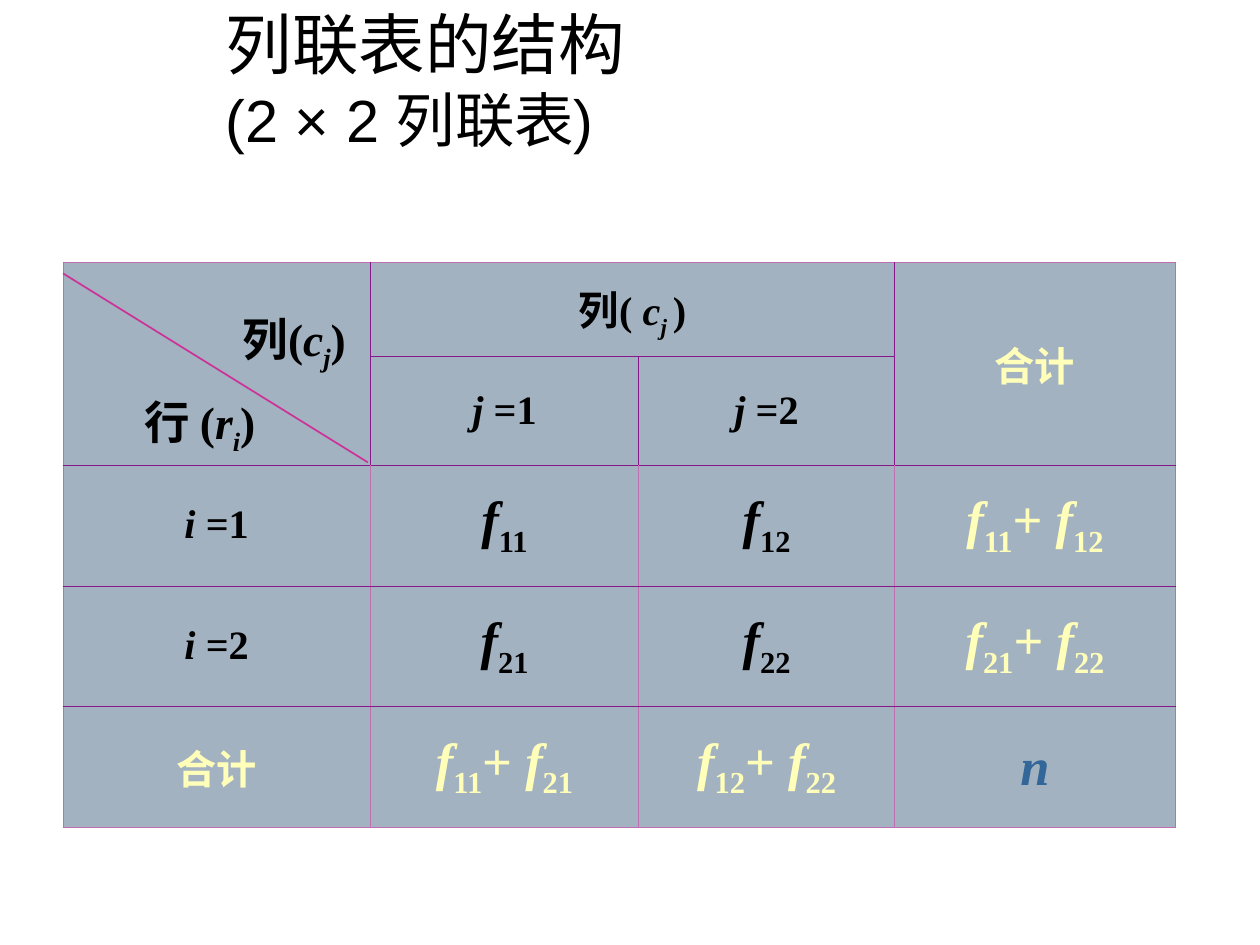
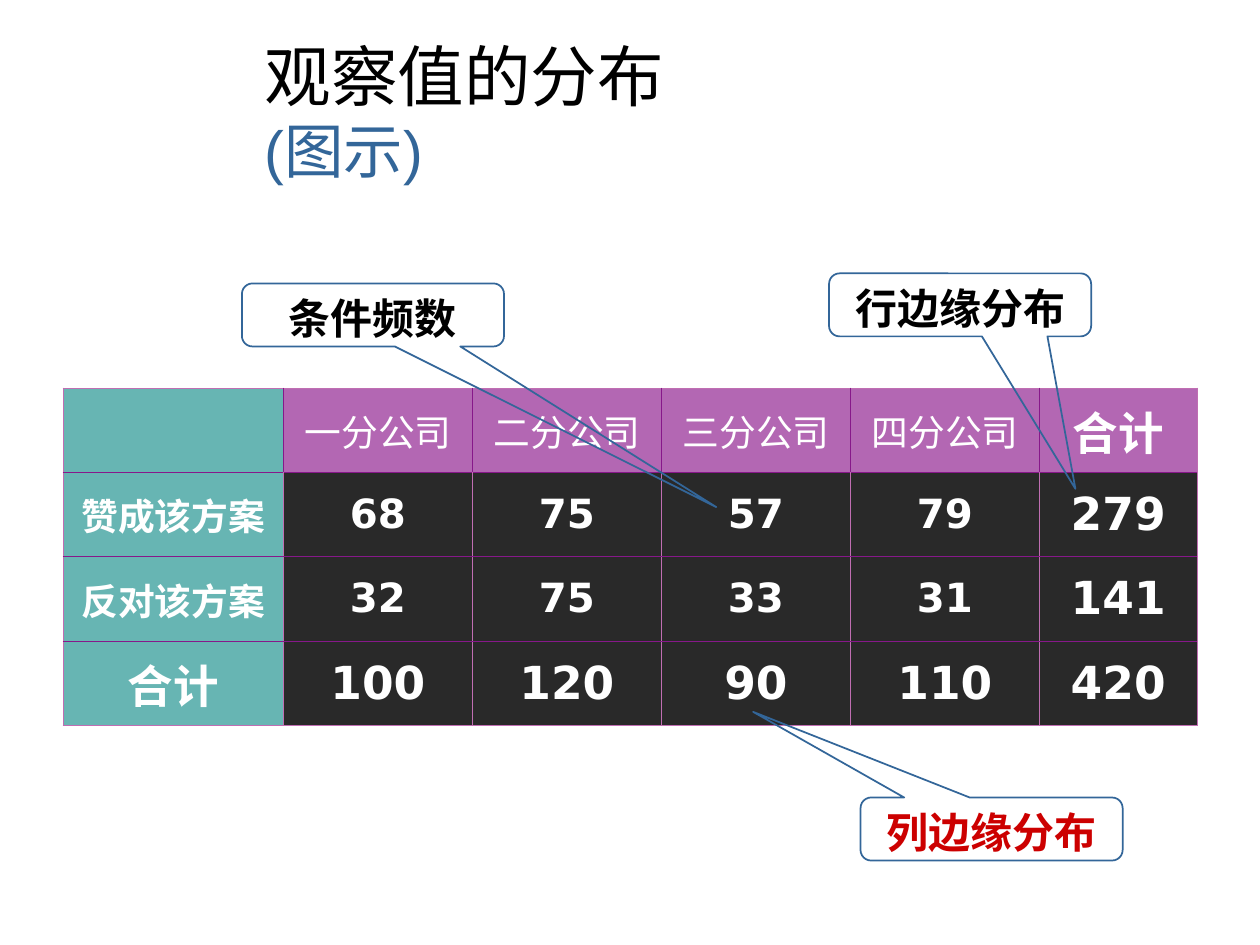
"""Build two slides on contingency tables and the distribution of observed values."""
from dataclasses import dataclass
from typing import Callable, NamedTuple

from lxml.etree import SubElement
from pptx import Presentation
from pptx.dml.color import RGBColor
from pptx.enum.shapes import MSO_CONNECTOR, MSO_SHAPE
from pptx.enum.text import MSO_ANCHOR, MSO_AUTO_SIZE, PP_ALIGN
from pptx.oxml.ns import qn
from pptx.slide import Slide
from pptx.table import Table, _Cell
from pptx.text.text import TextFrame
from pptx.util import Inches, Pt

BLACK = RGBColor(0x00, 0x00, 0x00)
WHITE = RGBColor(0xFF, 0xFF, 0xFF)
BLUE = RGBColor(0x33, 0x66, 0x99)
RED = RGBColor(0xCC, 0x00, 0x00)
CREAM = RGBColor(0xFF, 0xFF, 0xB9)
SLATE = RGBColor(0xA3, 0xB2, 0xC1)
TEAL = RGBColor(0x67, 0xB5, 0xB3)
ORCHID = RGBColor(0xB3, 0x67, 0xB3)
CHARCOAL = RGBColor(0x29, 0x29, 0x29)
MAGENTA = RGBColor(0xCC, 0x33, 0x99)
PINK_RULE = RGBColor(0xC0, 0x6E, 0xB2)
PURPLE_RULE = RGBColor(0x87, 0x18, 0x8A)

TITLE_FONT = "Arial"
FORMULA_FONT = "Times New Roman"
DATA_FONT = "DejaVu Sans"


class Span(NamedTuple):
    text: str
    italic: bool = False
    subscript: bool = False


@dataclass(frozen=True)
class Label:
    spans: list[Span]
    size: float
    color: RGBColor = BLACK
    bold: bool = True
    font: str = FORMULA_FONT


@dataclass(frozen=True)
class Grid:
    left: float
    top: float
    widths: list[float]
    heights: list[float]
    header_rows: int
    labels: list[list[Label | None]]
    fill: Callable[[int, int], RGBColor]
    merges: tuple[tuple[int, int, int, int], ...] = ()


@dataclass(frozen=True)
class Callout:
    text: str
    left: float
    top: float
    tip: tuple[float, float]
    color: RGBColor = BLACK


def symbol(letter: str, index: str) -> list[Span]:
    """Return an italic letter with its subscript."""
    return [Span(letter, True), Span(index, not index.isdigit(), True)]


def frequency(*indexes: str) -> Label:
    """Return one frequency, or the sum of several as a margin."""
    spans = symbol("f", indexes[0])
    for index in indexes[1:]:
        spans += [Span("+ "), *symbol("f", index)]
    return Label(spans, 30, CREAM if len(indexes) > 1 else BLACK)


def level(letter: str, value: int) -> Label:
    """Return a heading such as i =1."""
    return Label([Span(letter, True), Span(f" ={value}")], 23)


def plain(text: str, size: float, color: RGBColor = WHITE, bold: bool = True,
          font: str = DATA_FONT) -> Label:
    """Return a label of one upright span."""
    return Label([Span(text)], size, color, bold, font)


def write_label(frame: TextFrame, label: Label) -> None:
    """Write a centred label into a text frame."""
    para = frame.paragraphs[0]
    para.alignment = PP_ALIGN.CENTER
    para.font.name = label.font
    para.font.size = Pt(label.size)
    para.font.bold = label.bold
    para.font.color.rgb = label.color
    for span in label.spans:
        run = para.add_run()
        run.text = span.text
        if span.italic:
            run.font.italic = True
        if span.subscript:
            run._r.get_or_add_rPr().set("baseline", "-25000")


def add_titled_page(deck: Presentation, left: float, top: float, heading: str,
                    subheading: str, subcolor: RGBColor) -> Slide:
    """Add a slide with a two-line title."""
    page = deck.slides.add_slide(deck.slide_layouts[5])
    title = page.shapes.title
    title.left, title.top = Inches(left), Inches(top)
    title.width, title.height = Inches(7.42), Inches(1.25)
    frame = title.text_frame
    frame.word_wrap = False
    frame.auto_size = MSO_AUTO_SIZE.NONE
    frame.vertical_anchor = MSO_ANCHOR.MIDDLE
    para = frame.paragraphs[0]
    para.alignment = PP_ALIGN.LEFT
    para.font.name = TITLE_FONT
    for text, size, color in ((heading, 38, BLACK), (subheading, 34, subcolor)):
        if para.runs:
            para.add_line_break()
        run = para.add_run()
        run.text = text
        run.font.size = Pt(size)
        run.font.color.rgb = color
    return page


def set_borders(cell: _Cell, row: int, column: int, grid: Grid) -> None:
    """Rule a cell: pink outside and between body columns, purple elsewhere."""
    body = row >= grid.header_rows
    last_column = column + cell.span_width == len(grid.widths)
    last_row = row + cell.span_height == len(grid.heights)
    pink_edges = {"lnL": body or column == 0, "lnR": body or last_column,
                  "lnT": row == 0, "lnB": last_row}
    properties = cell._tc.get_or_add_tcPr()
    for edge, pink in pink_edges.items():
        line = SubElement(properties, qn(f"a:{edge}"), w=str(Pt(0.45)))
        fill = SubElement(line, qn("a:solidFill"))
        SubElement(fill, qn("a:srgbClr"), val=str(PINK_RULE if pink else PURPLE_RULE))


def add_grid(page: Slide, grid: Grid) -> Table:
    """Draw a ruled table."""
    table = page.shapes.add_table(
        len(grid.heights), len(grid.widths), Inches(grid.left), Inches(grid.top),
        Inches(sum(grid.widths)), Inches(sum(grid.heights))).table
    table.first_row = table.horz_banding = False
    for column, width in zip(table.columns, grid.widths):
        column.width = Inches(width)
    for row, height in zip(table.rows, grid.heights):
        row.height = Inches(height)
    for first_row, first_column, last_row, last_column in grid.merges:
        table.cell(first_row, first_column).merge(table.cell(last_row, last_column))
    for row, labels in enumerate(grid.labels):
        for column, label in enumerate(labels):
            cell = table.cell(row, column)
            if cell.is_spanned:
                continue
            if not cell.is_merge_origin or label or column == 0:
                set_borders(cell, row, column, grid)
            cell.fill.solid()
            cell.fill.fore_color.rgb = grid.fill(row, column)
            cell.vertical_anchor = MSO_ANCHOR.MIDDLE
            if label:
                write_label(cell.text_frame, label)
    return table


def add_corner_label(page: Slide, left: float, top: float, spans: list[Span]) -> None:
    """Add a label to the divided corner cell."""
    box = page.shapes.add_textbox(Inches(left), Inches(top), Inches(1.17), Inches(0.6))
    write_label(box.text_frame, Label(spans, 26))


def add_diagonal(page: Slide) -> None:
    """Divide the corner cell with a diagonal line."""
    line = page.shapes.add_connector(MSO_CONNECTOR.STRAIGHT, Inches(0.5), Inches(2.17),
                                     Inches(2.92), Inches(3.67))
    line.line.color.rgb = MAGENTA
    line.line.width = Pt(1)
    SubElement(line._element.spPr, qn("a:effectLst"))


def add_callout(page: Slide, callout: Callout) -> None:
    """Add an unfilled callout that points into the table."""
    shape = page.shapes.add_shape(
        MSO_SHAPE.ROUNDED_RECTANGULAR_CALLOUT, Inches(callout.left), Inches(callout.top),
        Inches(2.08), Inches(0.5))
    shape.shadow.inherit = False
    shape.adjustments[0], shape.adjustments[1] = callout.tip
    shape.fill.background()
    shape.line.color.rgb = BLUE
    shape.line.width = Pt(1)
    shape.text_frame.word_wrap = True
    shape.text_frame.vertical_anchor = MSO_ANCHOR.TOP
    write_label(shape.text_frame, plain(callout.text, 24, callout.color, font=TITLE_FONT))


def build_structure_page(deck: Presentation) -> None:
    """Build the slide on the structure of a two by two table."""
    page = add_titled_page(deck, 1.69, 0, "列联表的结构", "(2 × 2 列联表)", BLACK)
    total = plain("合计", 23, CREAM, font=FORMULA_FONT)
    column_heading = Label([Span("列( "), *symbol("c", "j "), Span(")")], 23)
    labels = [
        [None, column_heading, None, total],
        [None, level("j", 1), level("j", 2), None],
        *[[level("i", i), frequency(f"{i}1"), frequency(f"{i}2"),
           frequency(f"{i}1", f"{i}2")] for i in (1, 2)],
        [total, frequency("11", "21"), frequency("12", "22"),
         Label([Span("n", True)], 30, BLUE)],
    ]
    add_grid(page, Grid(0.5, 2.08, [2.44, 2.13, 2.03, 2.23], [0.75, 0.86] + [0.96] * 3,
                        2, labels, lambda row, column: SLATE,
                        ((0, 0, 1, 0), (0, 1, 0, 2), (0, 3, 1, 3))))
    add_diagonal(page)
    add_corner_label(page, 1.75, 2.42, [Span("列("), *symbol("c", "j"), Span(")")])
    add_corner_label(page, 1, 3.08, [Span("行 ("), *symbol("r", "i"), Span(")")])


def observed_fill(row: int, column: int) -> RGBColor:
    """Return the fill for a cell of the observed values."""
    if column == 0:
        return TEAL
    return ORCHID if row == 0 else CHARCOAL


def build_observed_page(deck: Presentation) -> None:
    """Build the slide on the distribution of observed values."""
    page = add_titled_page(deck, 2, 0.25, "观察值的分布", "(图示)", BLUE)
    branches = ["一分公司", "二分公司", "三分公司", "四分公司"]
    answers = [("赞成该方案", [68, 75, 57, 79], 279), ("反对该方案", [32, 75, 33, 31], 141)]
    totals = ["合计", 100, 120, 90, 110, 420]
    labels = [
        [None, *[plain(branch, 21, bold=False) for branch in branches], plain("合计", 26)],
        *[[plain(answer, 21), *[plain(str(count), 23) for count in counts],
           plain(str(total), 26)] for answer, counts, total in answers],
        [plain(str(total), 26) for total in totals],
    ]
    add_grid(page, Grid(0.5, 3.08, [1.75] + [1.5] * 4 + [1.25], [0.67] * 4, 1,
                        labels, observed_fill))
    for callout in (Callout("行边缘分布", 6.58, 2.17, (0.44, 2.92)),
                    Callout("列边缘分布", 6.83, 6.33, (-0.91, -1.86), RED),
                    Callout("条件频数", 1.92, 2.25, (1.31, 3.05))):
        add_callout(page, callout)


def main() -> None:
    """Build and save the deck."""
    deck = Presentation()
    deck.slide_width, deck.slide_height = Inches(10), Inches(7.5)
    build_structure_page(deck)
    build_observed_page(deck)
    deck.save("out.pptx")


if __name__ == "__main__":
    main()
